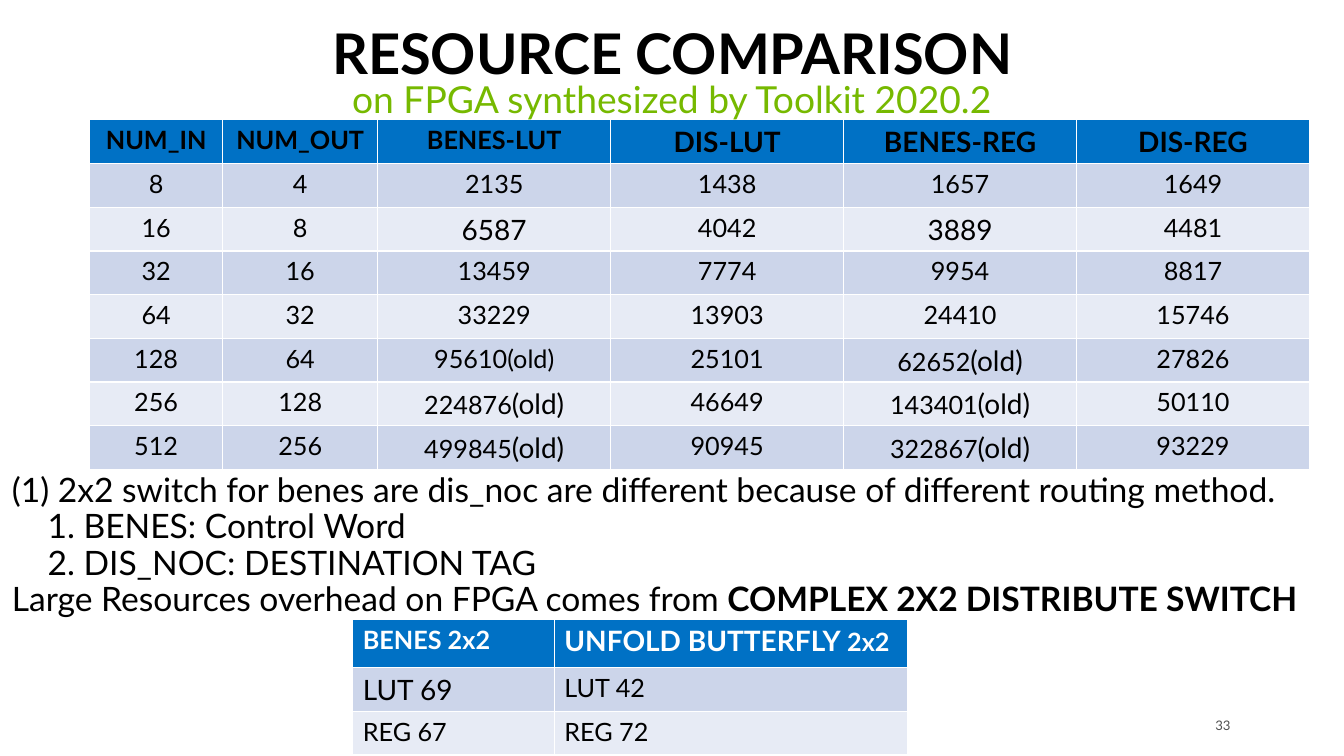
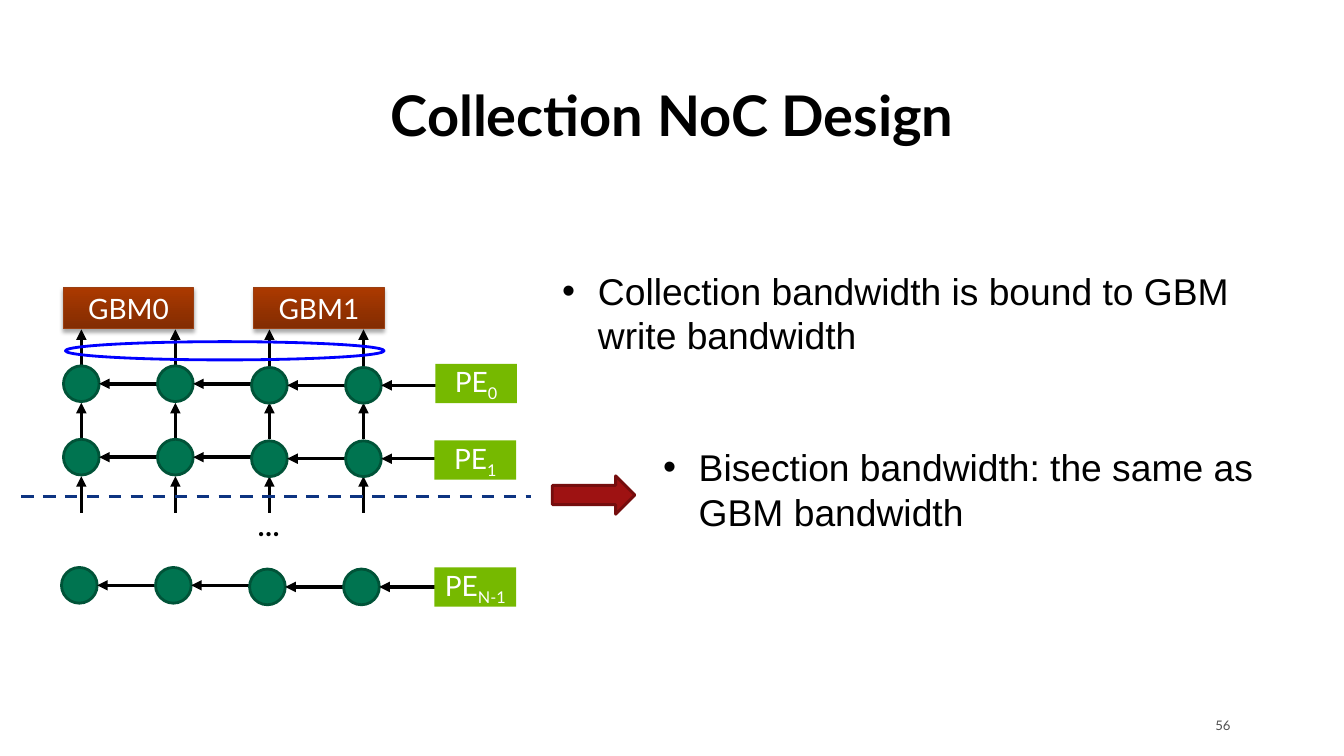
"""Build two slides on network-on-chip resources and the collection design."""
from dataclasses import dataclass

from lxml.etree import SubElement
from pptx import Presentation
from pptx.dml.color import RGBColor
from pptx.enum.dml import MSO_LINE
from pptx.enum.shapes import MSO_CONNECTOR, MSO_SHAPE as SHAPE
from pptx.enum.text import MSO_ANCHOR as ANCHOR, PP_ALIGN as ALIGN
from pptx.oxml.ns import qn
from pptx.util import Cm, Pt

BLACK, WHITE, GREY = "000000", "FFFFFF", "505050"
BLUE, GREEN = "0071C5", "76B900"
BANDS = ("CCD5EA", "E7EBF5")
LATO = "Lato"


@dataclass(frozen=True)
class Box:
    left: float
    top: float
    width: float
    height: float

    def lengths(self) -> tuple:
        return Cm(self.left), Cm(self.top), Cm(self.width), Cm(self.height)


@dataclass(frozen=True)
class Run:
    text: str
    size: float | None = None
    bold: bool | None = None
    sub: bool = False


@dataclass(frozen=True)
class PeRow:
    label: str
    left: float
    top: float
    pe: Box


@dataclass(frozen=True)
class Grid:
    left: float
    top: float
    cols: tuple
    rows: tuple
    align: ALIGN
    head_color: str
    cells: tuple


def rgb(color: str) -> RGBColor:
    return RGBColor.from_string(color)


def write(tf, text, *, size=20.0, color=BLACK, bold=False, font=LATO,
          align=ALIGN.LEFT, spacing=None, indent=0.0, bullet=None) -> None:
    p = tf.add_paragraph() if tf.paragraphs[0].runs else tf.paragraphs[0]
    p.alignment = align
    if spacing:
        p.line_spacing = spacing
    pPr = p._p.get_or_add_pPr()
    if indent:
        pPr.set("marL", str(Cm(indent)))
    if bullet:
        pPr.set("indent", str(-Cm(indent)))
        SubElement(pPr, qn("a:buFont"), typeface="Arial")
        SubElement(pPr, qn("a:buChar"), char=bullet)
    for part in (Run(text),) if isinstance(text, str) else text:
        r = p.add_run()
        r.text = part.text
        r.font.name = font
        r.font.size = Pt(part.size or size)
        r.font.bold = bold if part.bold is None else part.bold
        r.font.color.rgb = rgb(color)
        if part.sub:
            r._r.get_or_add_rPr().set("baseline", "-25000")


def add_textbox(s, box: Box, anchor=ANCHOR.TOP, inset: float | None = None):
    tf = s.shapes.add_textbox(*box.lengths()).text_frame
    tf.word_wrap = True
    tf.vertical_anchor = anchor
    if inset is not None:
        tf.margin_left = tf.margin_right = Cm(inset)
        tf.margin_top = tf.margin_bottom = Cm(inset)
    return tf


def add_shape(s, kind: SHAPE, box: Box, fill: str | None = None,
              line: str | None = None, weight: float = 2):
    sp = s.shapes.add_shape(kind, *box.lengths())
    sp.shadow.inherit = False
    if fill:
        sp.fill.solid()
        sp.fill.fore_color.rgb = rgb(fill)
    else:
        sp.fill.background()
    if line:
        sp.line.color.rgb = rgb(line)
        sp.line.width = Pt(weight)
    else:
        sp.line.fill.background()
    return sp


def label_shape(sp, text) -> None:
    tf = sp.text_frame
    tf.word_wrap = False
    tf.vertical_anchor = ANCHOR.MIDDLE
    write(tf, text, color=WHITE, align=ALIGN.CENTER)


def add_line(s, x1: float, y1: float, x2: float, y2: float, *, color=BLACK,
             weight=2.5, dashed=False, arrow=True) -> None:
    cx = s.shapes.add_connector(MSO_CONNECTOR.STRAIGHT,
                                Cm(x1), Cm(y1), Cm(x2), Cm(y2))
    cx.line.color.rgb = rgb(color)
    cx.line.width = Pt(weight)
    if dashed:
        cx.line.dash_style = MSO_LINE.DASH
    if arrow:
        SubElement(cx.line._get_or_add_ln(), qn("a:tailEnd"), type="triangle")
    SubElement(cx._element.spPr, qn("a:effectLst"))


def add_table(s, grid: Grid) -> None:
    size = Cm(sum(grid.cols)), Cm(sum(grid.rows))
    table = s.shapes.add_table(len(grid.rows), len(grid.cols),
                               Cm(grid.left), Cm(grid.top), *size).table
    for column, width in zip(table.columns, grid.cols):
        column.width = Cm(width)
    for i, (height, texts) in enumerate(zip(grid.rows, grid.cells)):
        table.rows[i].height = Cm(height)
        for j, text in enumerate(texts):
            cell = table.cell(i, j)
            cell.fill.solid()
            cell.fill.fore_color.rgb = rgb(BANDS[(i - 1) % 2] if i else BLUE)
            write(cell.text_frame, text, size=18, bold=i == 0,
                  color=BLACK if i else grid.head_color, align=grid.align)


def add_slide(prs, title: str, title_top: float, number: str):
    s = prs.slides.add_slide(prs.slide_layouts[6])
    tf = add_textbox(s, Box(30.1, 18.01, 0.91, 0.51), ANCHOR.MIDDLE, 0)
    write(tf, number, size=9.4, color=GREY, align=ALIGN.RIGHT)
    tf = add_textbox(s, Box(1.55, title_top, 30.78, 1.83), ANCHOR.BOTTOM)
    write(tf, title, size=40, bold=True, align=ALIGN.CENTER, spacing=0.9)
    return s


def large(text: str) -> tuple:
    return (Run(text, 20),)


def old(value: str) -> tuple:
    return Run(value), Run("(old)", 20)


RESOURCES = Grid(2.26, 3.02, (3.35, 3.91) + (5.87,) * 4, (1.1,) * 8,
                 ALIGN.CENTER, BLACK, (
    ("NUM_IN", "NUM_OUT", "BENES-LUT", large("DIS-LUT"),
     large("BENES-REG"), large("DIS-REG")),
    ("8", "4", "2135", "1438", "1657", "1649"),
    ("16", "8", large("6587"), "4042", large("3889"), "4481"),
    ("32", "16", "13459", "7774", "9954", "8817"),
    ("64", "32", "33229", "13903", "24410", "15746"),
    ("128", "64", "95610(old)", "25101", old("62652"), "27826"),
    ("256", "128", old("224876"), "46649", old("143401"), "50110"),
    ("512", "256", old("499845"), "90945", old("322867"), "93229"),
))

SWITCHES = Grid(8.89, 15.6, (5.08, 8.89), (1.22, 1.1, 1.1),
                ALIGN.LEFT, WHITE, (
    ("BENES 2x2", (Run("UNFOLD BUTTERFLY", 20), Run(" 2x2"))),
    (large("LUT 69"), "LUT 42"),
    ("REG 67", "REG 72"),
))

NOTES = (
    ("(1) 2x2 switch for benes are dis_noc are different because of "
     "different routing method.", 0),
    ("1. BENES: Control Word", 0.9),
    ("2. DIS_NOC: DESTINATION TAG", 0.9),
    ((Run("Large Resources overhead on FPGA comes from "),
      Run("COMPLEX 2X2 DISTRIBUTE SWITCH", bold=True)), 0),
)

COLUMNS, PITCH, NODE = 4, 2.37, 0.9
PE_ROWS = (
    PeRow("0", 1.6, 9.22, Box(10.97, 9.17, 2.06, 0.99)),
    PeRow("1", 1.6, 11.07, Box(10.95, 11.1, 2.06, 0.99)),
    PeRow("N-1", 1.55, 14.3, Box(10.95, 14.3, 2.06, 0.99)),
)
BULLETS = (
    (Box(13.92, 6.63, 19.51, 2.62),
     "Collection bandwidth is bound to GBM write bandwidth"),
    (Box(16.46, 11.07, 16.94, 2.54),
     "Bisection bandwidth: the same as GBM bandwidth"),
)


def draw_pe_row(s, row: PeRow) -> None:
    for col in range(COLUMNS):
        left = row.left + col * PITCH
        top = row.top + (0.04 if col >= COLUMNS // 2 else 0)
        middle = top + NODE / 2
        add_shape(s, SHAPE.OVAL, Box(left, top, NODE, NODE),
                  "007450", "005338")
        add_line(s, left + PITCH, middle, left + NODE, middle)
    pe = add_shape(s, SHAPE.RECTANGLE, row.pe, GREEN)
    label_shape(pe, (Run("PE"), Run(row.label, sub=True)))


def draw_gbm(s, index: int) -> None:
    sp = add_shape(s, SHAPE.RECTANGLE, Box(1.6 + 4.8 * index, 7.25, 3.28, 1.04),
                   line="9A3F12", weight=0.75)
    sp.fill.gradient()
    sp.fill.gradient_angle = 90
    for stop, color in zip(sp.fill.gradient_stops, ("822C02", "AB3900")):
        stop.color.rgb = rgb(color)
    effects = sp._element.spPr.find(qn("a:effectLst"))
    shadow = SubElement(effects, qn("a:outerShdw"), blurRad=str(Pt(3.1)),
                        dist=str(Pt(1.8)), dir="5400000", rotWithShape="0")
    black = SubElement(shadow, qn("a:srgbClr"), val=BLACK)
    SubElement(black, qn("a:alpha"), val="35000")
    label_shape(sp, f"GBM{index}")


def build_resources(prs) -> None:
    s = add_slide(prs, "RESOURCE COMPARISON", 0.48, "33")
    add_table(s, RESOURCES)
    tf = add_textbox(s, Box(1.55, 1.93, 30.78, 1.63))
    write(tf, "on FPGA synthesized by Toolkit 2020.2", size=26.6, color=GREEN,
          align=ALIGN.CENTER, spacing=0.9)
    tf = add_textbox(s, Box(0.05, 11.81, 33.76, 3.94))
    for text, indent in NOTES:
        write(tf, text, size=24, spacing=0.9, indent=indent)
    add_table(s, SWITCHES)


def build_collection(prs) -> None:
    s = add_slide(prs, "Collection NoC Design", 2.03, "56")
    for tip in (8.3, 10.15, 12.0):
        for col in range(COLUMNS):
            x = 1.6 + NODE / 2 + col * PITCH
            add_line(s, x, tip + 0.92, x, tip)
    for row in PE_ROWS:
        draw_pe_row(s, row)
    for index in range(2):
        draw_gbm(s, index)
    tf = add_textbox(s, Box(6.15, 12.78, 1.24, 1.02), ANCHOR.MIDDLE)
    write(tf, "…", bold=True, align=ALIGN.CENTER, spacing=0.9)
    add_line(s, 0.53, 12.52, 13.39, 12.52, color="0D3481", weight=2.25,
             dashed=True, arrow=False)
    for box, text in BULLETS:
        write(add_textbox(s, box), text, size=26.6, font="Arial",
              indent=0.9, bullet="•")
    add_shape(s, SHAPE.RIGHT_ARROW, Box(13.92, 11.99, 2.08, 0.97),
              "9E1212", "750D0D")
    add_shape(s, SHAPE.FLOWCHART_CONNECTOR, Box(1.65, 8.61, 8.03, 0.46),
              line="0000FF")


def main() -> None:
    prs = Presentation()
    prs.slide_width, prs.slide_height = Cm(33.87), Cm(19.05)
    build_resources(prs)
    build_collection(prs)
    prs.save("out.pptx")


if __name__ == "__main__":
    main()
